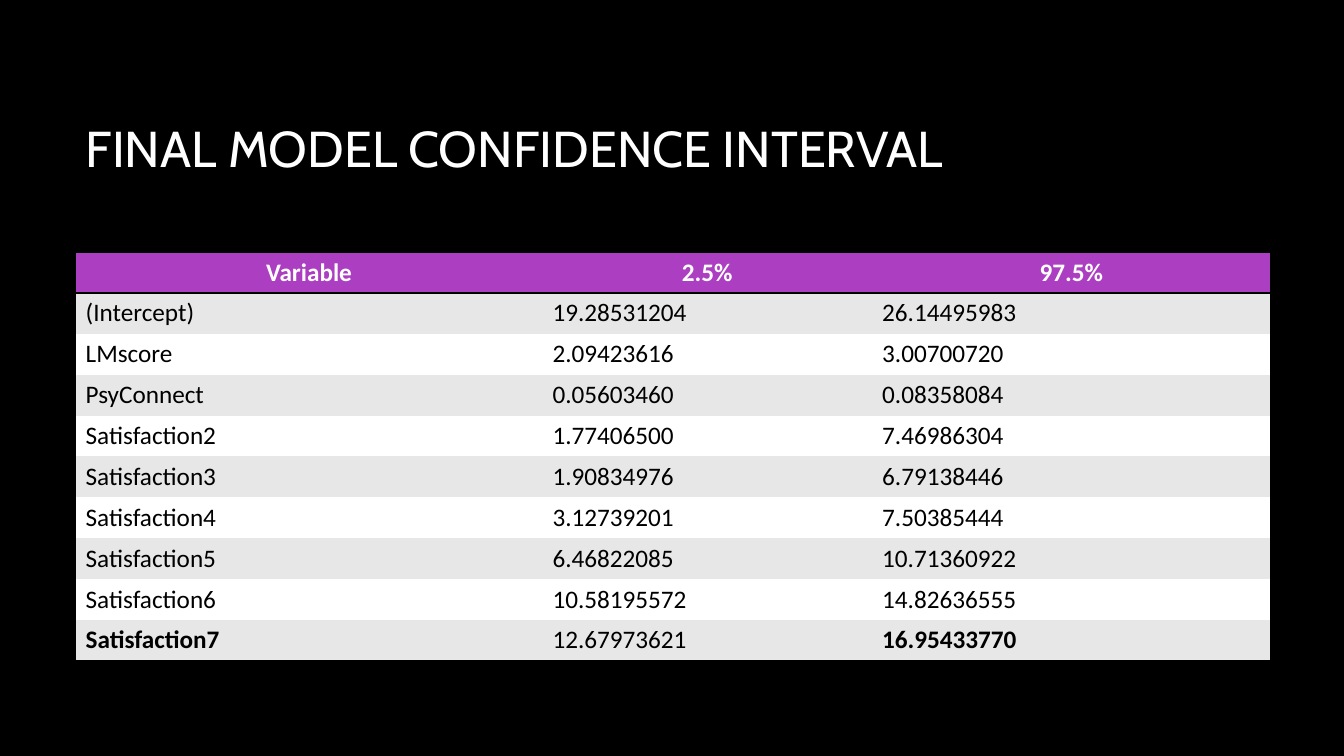
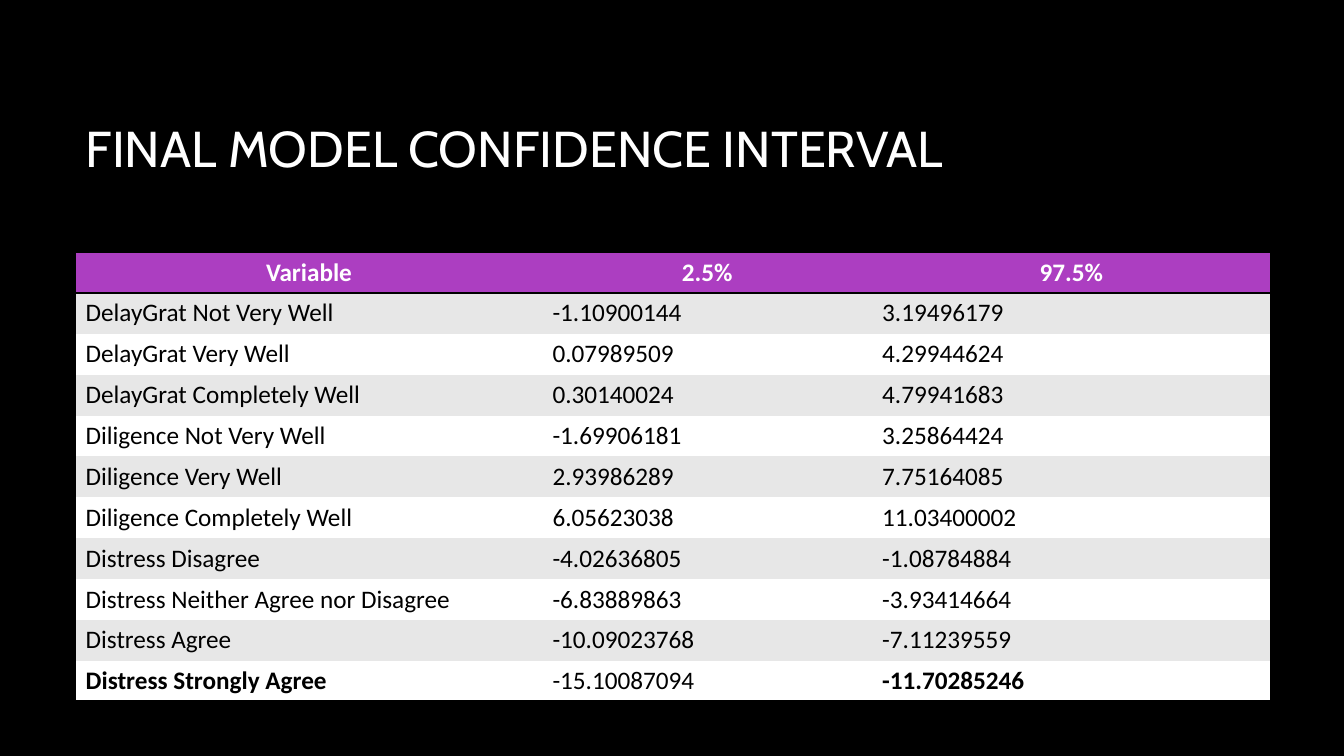
from dataclasses import dataclass

from lxml import etree
from pptx import Presentation
from pptx import util as u
from pptx.dml import color as clr
from pptx.enum import text as et
from pptx.oxml import ns

PLAIN = "{2D5ABB26-0587-4C30-8999-92F81FD0307C}"
TITLE = "FINAL MODEL CONFIDENCE INTERVAL"
HEAD = ("Variable", "2.5%", "97.5%")
FIRST = [
    ("(Intercept)", "19.28531204", "26.14495983"),
    ("LMscore", "2.09423616", "3.00700720"),
    ("PsyConnect", "0.05603460", "0.08358084"),
    ("Satisfaction2", "1.77406500", "7.46986304"),
    ("Satisfaction3", "1.90834976", "6.79138446"),
    ("Satisfaction4", "3.12739201", "7.50385444"),
    ("Satisfaction5", "6.46822085", "10.71360922"),
    ("Satisfaction6", "10.58195572", "14.82636555"),
    ("Satisfaction7", "12.67973621", "16.95433770"),
]
SECOND = [
    ("DelayGrat Not Very Well", "-1.10900144", "3.19496179"),
    ("DelayGrat Very Well", "0.07989509", "4.29944624"),
    ("DelayGrat Completely Well", "0.30140024", "4.79941683"),
    ("Diligence Not Very Well", "-1.69906181", "3.25864424"),
    ("Diligence Very Well", "2.93986289", "7.75164085"),
    ("Diligence Completely Well", "6.05623038", "11.03400002"),
    ("Distress Disagree", "-4.02636805", "-1.08784884"),
    ("Distress Neither Agree nor Disagree", "-6.83889863", "-3.93414664"),
    ("Distress Agree", "-10.09023768", "-7.11239559"),
    ("Distress Strongly Agree", "-15.10087094", "-11.70285246"),
]


@dataclass(frozen=True)
class Theme:
    black: str = "000000"
    white: str = "FFFFFF"
    accent: str = "AC3EC1"
    band: str = "E7E7E7"
    title: str = "Cabin"
    body: str = "Calibri"
    large: int = 36
    small: int = 18
    rule: int = 2


def paint(fill, tone):
    fill.solid()
    fill.fore_color.rgb = clr.RGBColor.from_string(tone)


def write(frame, text, *, font, size, tone, bold=False,
          align=et.PP_ALIGN.LEFT):
    para = frame.paragraphs[0]
    para.alignment = align
    run = para.add_run()
    run.text = text
    run.font.name = font
    run.font.size = u.Pt(size)
    run.font.bold = bold
    run.font.color.rgb = clr.RGBColor.from_string(tone)


class Deck:
    def __init__(self, theme):
        self.theme = theme
        self.show = Presentation()
        self.show.slide_width = u.Inches(13.33)
        self.show.slide_height = u.Inches(7.5)
        paint(self.show.slide_master.background.fill, theme.black)
        self.slide = None

    def page(self):
        self.slide = self.show.slides.add_slide(self.show.slide_layouts[5])

    def title(self, text):
        box = self.slide.shapes.title
        box.left, box.top = u.Inches(0.75), u.Inches(0.67)
        box.width, box.height = u.Inches(11.08), u.Inches(1.59)
        box.text_frame.vertical_anchor = et.MSO_ANCHOR.MIDDLE
        write(box.text_frame, text, font=self.theme.title,
              size=self.theme.large, tone=self.theme.white)

    def edge(self, cell, sides):
        props = cell._tc.get_or_add_tcPr()
        for side in sides:
            line = etree.SubElement(props, ns.qn(f"a:ln{side}"),
                                    w=str(u.Pt(self.theme.rule)))
            fill = etree.SubElement(line, ns.qn("a:solidFill"))
            etree.SubElement(fill, ns.qn("a:srgbClr"), val=self.theme.black)

    def table(self, head, rows):
        look = self.theme
        wide, high = (4.63, 3.27, 3.95), 0.4
        data = [head, *rows]
        grid = self.slide.shapes.add_table(
            len(data), len(head), u.Inches(0.75), u.Inches(2.5),
            u.Inches(sum(wide)), u.Inches(high * len(data))).table
        grid._tbl.tblPr.find(ns.qn("a:tableStyleId")).text = PLAIN
        for col, width in zip(grid.columns, wide):
            col.width = u.Inches(width)
        for i, row in enumerate(data):
            top, last = i == 0, i == len(data) - 1
            grid.rows[i].height = u.Inches(high)
            for j, text in enumerate(row):
                cell = grid.cell(i, j)
                self.edge(cell, "TB" if top else "B" if last else "")
                paint(cell.fill, look.accent if top
                      else look.band if i % 2 else look.white)
                write(cell.text_frame, text, font=look.body, size=look.small,
                      tone=look.white if top else look.black,
                      bold=top or (last and j != 1),
                      align=et.PP_ALIGN.CENTER if top else et.PP_ALIGN.LEFT)


def main():
    deck = Deck(Theme())
    for rows in (FIRST, SECOND):
        deck.page()
        deck.title(TITLE)
        deck.table(HEAD, rows)
    deck.show.save("out.pptx")


if __name__ == "__main__":
    main()
